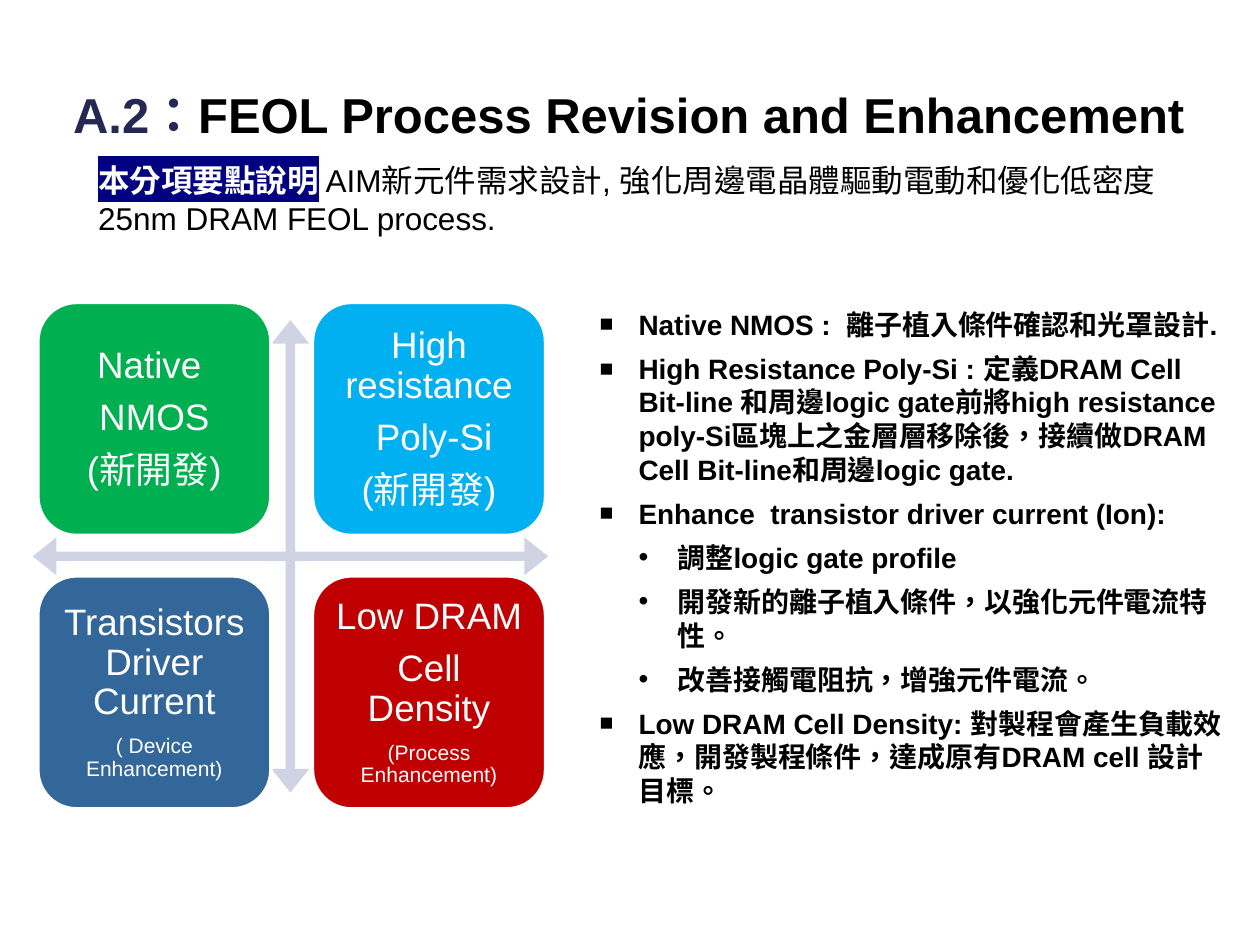
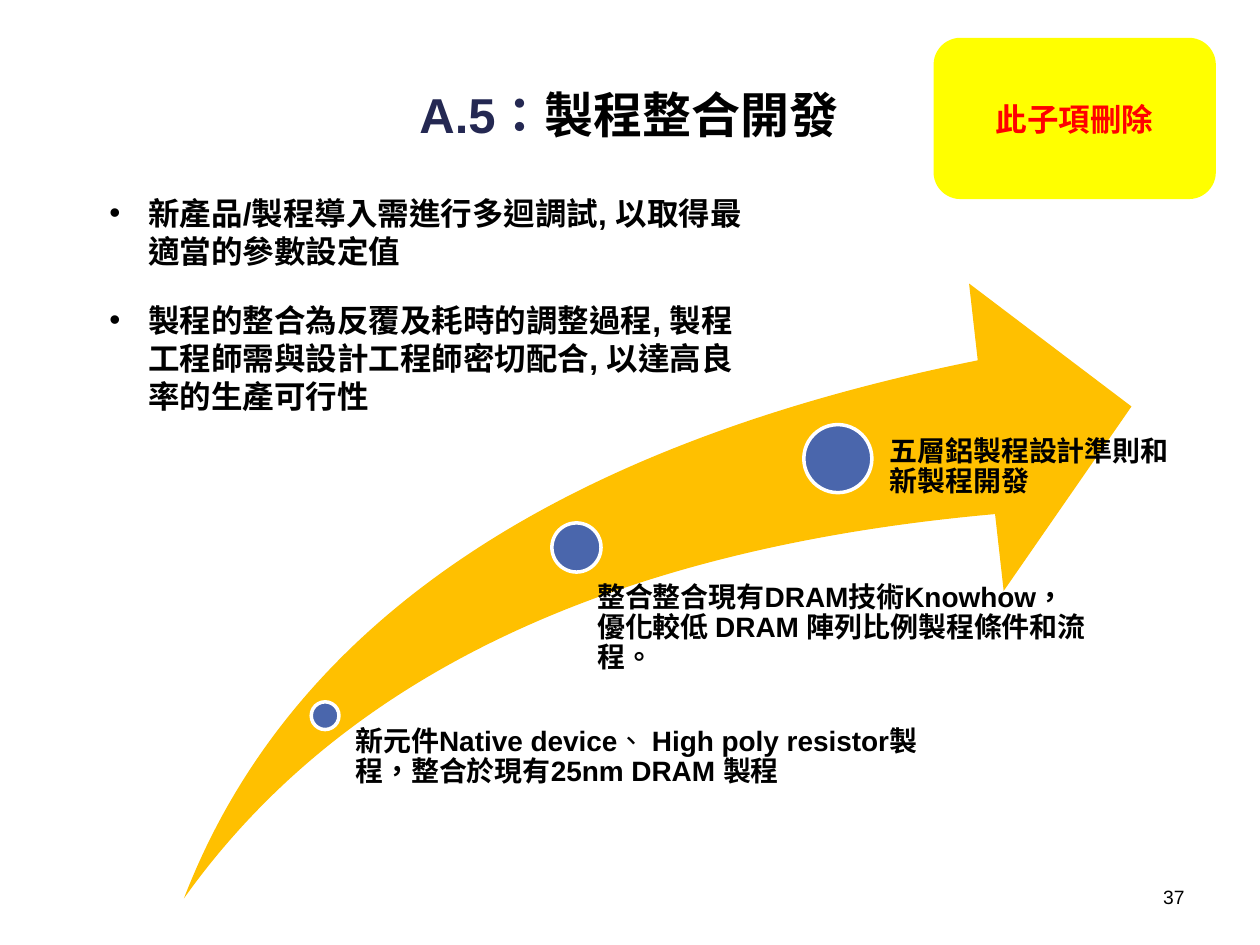
from lxml import etree
from pptx import Presentation
from pptx.dml.color import RGBColor
from pptx.enum.shapes import MSO_SHAPE
from pptx.enum.text import MSO_ANCHOR, PP_ALIGN
from pptx.oxml.ns import qn
from pptx.util import Inches, Pt

LEFT, CENTER, RIGHT = PP_ALIGN.LEFT, PP_ALIGN.CENTER, PP_ALIGN.RIGHT
MIDDLE = MSO_ANCHOR.MIDDLE
ROUND_RECT, OVAL = MSO_SHAPE.ROUNDED_RECTANGLE, MSO_SHAPE.OVAL
QUAD_ARROW, SWOOSH = MSO_SHAPE.QUAD_ARROW, MSO_SHAPE.SWOOSH_ARROW

FONT = "Arial"
COLORS = {
    "black": "000000", "white": "FFFFFF", "title": "242852", "navy": "000080",
    "cross": "D0D3E3", "green": "00B050", "sky": "00B0F0", "steel": "336699",
    "crimson": "C00000", "amber": "FFC000", "dot": "4A66AC",
    "yellow": "FFFF00", "red": "FF0000",
}


def add_shape(slide, kind, box, fill, outlined=False, adjustments=()):
    sp = slide.shapes.add_shape(kind, *[Inches(v) for v in box])
    sp.shadow.inherit = False
    sp.fill.solid()
    sp.fill.fore_color.rgb = RGBColor.from_string(COLORS[fill])
    if outlined:
        sp.line.color.rgb = RGBColor.from_string(COLORS["white"])
        sp.line.width = Pt(2)
    else:
        sp.line.fill.background()
    for i, value in enumerate(adjustments):
        sp.adjustments[i] = value
    return sp


def write(tf, paragraphs, size, color="black", bold=False, align=LEFT,
          before=0, after=0, spacing=None, bullets=None):
    """Fill a frame; a paragraph is a string or a list of (text, overrides)."""
    tf.word_wrap = True
    for i, runs in enumerate(paragraphs):
        p = tf.paragraphs[0] if i == 0 else tf.add_paragraph()
        p.alignment = align
        p.space_before = Pt(before if i else 0)
        p.space_after = Pt(after)
        if spacing:
            p.line_spacing = spacing
        pPr = p._p.get_or_add_pPr()
        pPr.set("hangingPunct", "0")
        if bullets:
            main = bullets[i] == "main"
            indent = 0.62 if bullets[i] == "sub" else 0.31
            pPr.set("marL", str(Inches(indent)))
            pPr.set("indent", str(Inches(-0.31)))
            if main:
                etree.SubElement(pPr, qn("a:buSzPct")).set("val", "82000")
            etree.SubElement(pPr, qn("a:buFont")).set("typeface", FONT)
            etree.SubElement(pPr, qn("a:buChar")).set("char", "■" if main else "•")
        for text, style in [(runs, {})] if isinstance(runs, str) else runs:
            for j, line in enumerate(text.split("\n")):
                if j:
                    p.add_line_break()
                r = p.add_run()
                r.text = line
                r.font.size = Pt(style.get("size", size))
                r.font.bold = style.get("bold", bold)
                rgb = COLORS[style.get("color", color)]
                r.font.color.rgb = RGBColor.from_string(rgb)
                rPr = r._r.get_or_add_rPr()
                rPr.set("lang", "zh-TW")
                if "highlight" in style:
                    mark = etree.SubElement(rPr, qn("a:highlight"))
                    etree.SubElement(mark, qn("a:srgbClr")).set("val", COLORS[style["highlight"]])
                r.font.name = FONT


prs = Presentation()
prs.slide_width, prs.slide_height = Inches(10), Inches(7.5)

# Slides and their titles
slides = []
for number, title in [("A.2：", "FEOL Process Revision and Enhancement"),
                      ("A.5：", "製程整合開發")]:
    s = prs.slides.add_slide(prs.slide_layouts[6])
    tb = s.shapes.add_textbox(Inches(0.09), Inches(0.62), Inches(9.8), Inches(0.62))
    write(tb.text_frame, [[(number, {"color": "title"}), (title, {})]],
          28, bold=True, align=CENTER)
    slides.append(s)
feol, integration = slides

# FEOL: four tiles around a cross of arrows
add_shape(feol, QUAD_ARROW, (0.26, 2.54, 4.09, 3.75), "cross",
          adjustments=(0.02, 0.04, 0.05))
small = {"size": 12}
tiles = [
    ("green", ["Native ", "NMOS", "(新開發)"]),
    ("sky", ["High resistance", " Poly-Si", "(新開發)"]),
    ("steel", ["Transistors Driver Current", [("( Device Enhancement)", small)]]),
    ("crimson", ["Low DRAM ", "Cell Density", [("(Process Enhancement)", small)]]),
]
TILE, PITCH_X, PITCH_Y = 1.85, 2.18, 2.17
for i, (fill, lines) in enumerate(tiles):
    row, col = divmod(i, 2)
    sp = add_shape(feol, ROUND_RECT,
                   (0.3 + col * PITCH_X, 2.4 + row * PITCH_Y, TILE, TILE), fill, outlined=True)
    tf = sp.text_frame
    tf.margin_left = tf.margin_right = tf.margin_top = tf.margin_bottom = Inches(0.09)
    tf.vertical_anchor = MIDDLE
    write(tf, lines, 21, "white", align=CENTER, after=7.35, spacing=0.9)

tb = feol.shapes.add_textbox(Inches(0.68), Inches(1.23), Inches(8.75), Inches(0.71))
write(tb.text_frame, [[
    ("本分項要點說明", {"color": "white", "bold": True, "highlight": "navy"}),
    (" ", {"bold": True}),
    ("AIM新元件需求設計, 強化周邊電晶體驅動電動和優化低密度25nm DRAM FEOL process.", {}),
]], 18)

details = [
    ("main", "Native NMOS :  離子植入條件確認和光罩設計."),
    ("main", "High Resistance Poly-Si : 定義DRAM Cell Bit-line 和周邊logic gate前將"
             "high resistance poly-Si區塊上之金層層移除後，接續做DRAM Cell Bit-line"
             "和周邊logic gate."),
    ("main", "Enhance  transistor driver current (Ion):"),
    ("sub", "調整logic gate profile"),
    ("sub", "開發新的離子植入條件，以強化元件電流特性。"),
    ("sub", "改善接觸電阻抗，增強元件電流。"),
    ("main", "Low DRAM Cell Density: 對製程會產生負載效應，開發製程條件，"
             "達成原有DRAM cell 設計目標。"),
]
tb = feol.shapes.add_textbox(Inches(4.66), Inches(2.39), Inches(5.19), Inches(3.77))
write(tb.text_frame, [text for _, text in details], 16, bold=True, before=6,
      bullets=[level for level, _ in details])

# Integration: milestones along a rising arrow
add_shape(integration, SWOOSH, (1.46, 2.25, 7.52, 4.88), "amber",
          adjustments=(0.25, 0.25))
milestones = [
    ((2.47, 5.57, 0.22), (2.7, 5.77, 4.82, 0.62), 0.12,
     [("新元件Native device", {}), ("、", {"bold": False}),
      (" High poly resistor製程，整合於現有25nm DRAM 製程", {})]),
    ((4.38, 4.15, 0.39), (4.53, 4.63, 4.44, 0.72), 0.21,
     "整合整合現有DRAM技術Knowhow，\n優化較低 DRAM 陣列比例製程條件和流程。"),
    ((6.38, 3.37, 0.54), (6.77, 3.47, 2.64, 1.24), 0.29,
     "五層鋁製程設計準則和新製程開發"),
]
for (x, y, size), label_box, inset, label in milestones:
    add_shape(integration, OVAL, (x, y, size, size), "dot", outlined=True)
    tb = integration.shapes.add_textbox(*[Inches(v) for v in label_box])
    tf = tb.text_frame
    tf.margin_left = Inches(inset)
    tf.margin_right = tf.margin_top = tf.margin_bottom = 0
    write(tf, [label], 16, bold=True, spacing=0.9)

tb = integration.shapes.add_textbox(Inches(0.77), Inches(1.49), Inches(5.24), Inches(1.81))
write(tb.text_frame, [
    "新產品/製程導入需進行多迴調試, 以取得最適當的參數設定值",
    "製程的整合為反覆及耗時的調整過程, 製程工程師需與設計工程師密切配合, 以達高良率的生產可行性",
], 18, bold=True, before=18, bullets=["point", "point"])

sp = add_shape(integration, ROUND_RECT, (7.41, 0.3, 2.24, 1.28), "yellow")
sp.text_frame.vertical_anchor = MIDDLE
write(sp.text_frame, ["此子項刪除"], 18, "red", bold=True, align=CENTER)

tb = integration.shapes.add_textbox(Inches(7.17), Inches(6.98), Inches(2.33), Inches(0.37))
write(tb.text_frame, ["37"], 11, align=RIGHT)

prs.save("out.pptx")
